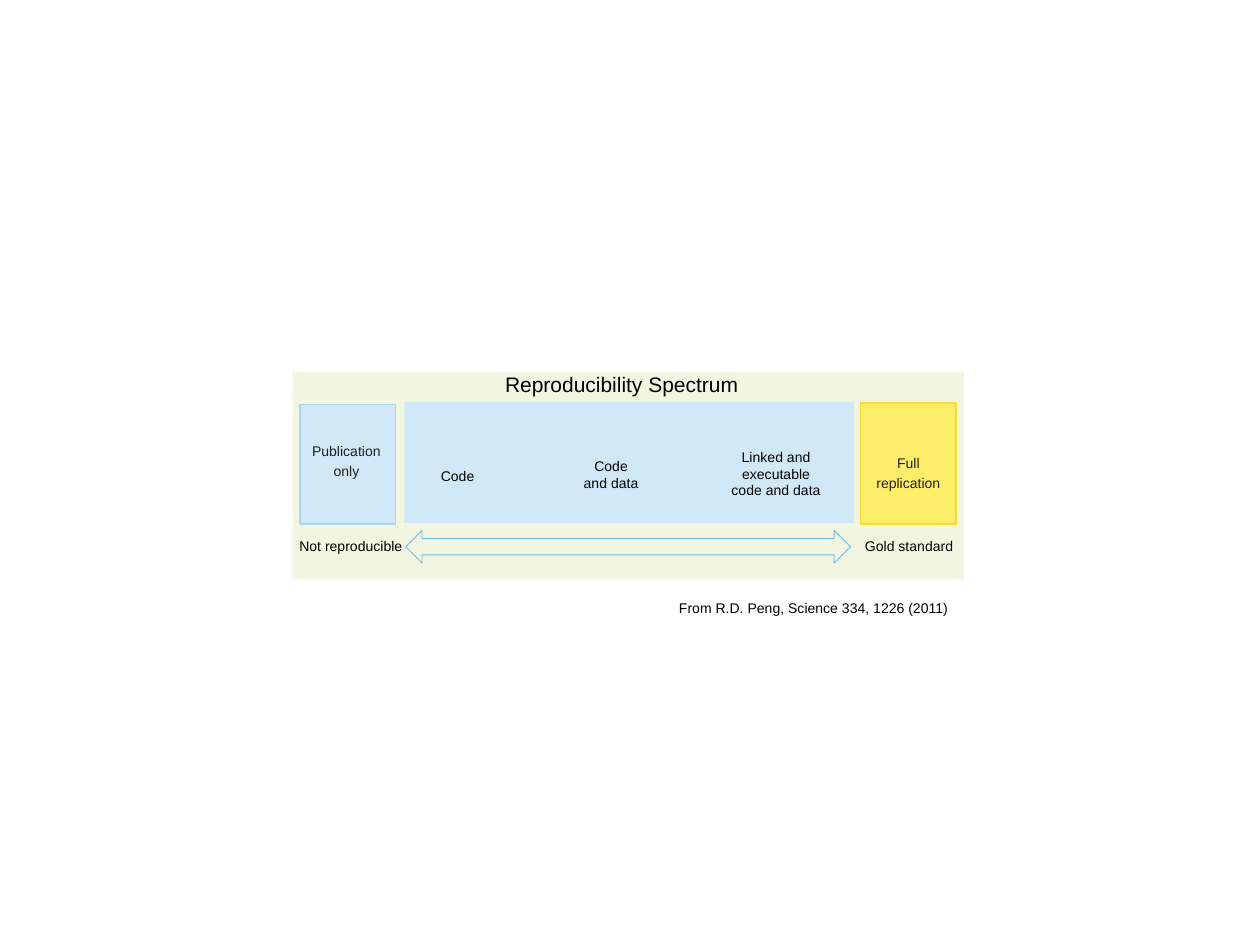
import pptx
import pptx.util
import pptx.dml.color
import pptx.enum.shapes
import pptx.enum.text

Inches = pptx.util.Inches
Pt = pptx.util.Pt
RGB = pptx.dml.color.RGBColor.from_string
Shape = pptx.enum.shapes.MSO_SHAPE
Align = pptx.enum.text.PP_ALIGN
Anchor = pptx.enum.text.MSO_ANCHOR

hues = {"panel": "F2F6E1", "blue": "D0E8F8", "edge": "A6D5F3", "gold": "FEED69",
        "rim": "F9DC2F", "arrow": "6CBEEA", "black": "000000", "dark": "231F20"}

deck = pptx.Presentation()
deck.slide_width, deck.slide_height = Inches(10), Inches(7.5)
slide = deck.slides.add_slide(deck.slide_layouts[6])


def block(kind, box, fill=None, line=None, width=1):
    shape = slide.shapes.add_shape(kind, *map(Inches, box))
    shape.shadow.inherit = False
    if fill:
        shape.fill.solid()
        shape.fill.fore_color.rgb = RGB(hues[fill])
    else:
        shape.fill.background()
    if line:
        shape.line.color.rgb = RGB(hues[line])
        shape.line.width = Pt(width)
    else:
        shape.line.fill.background()
    return shape


def write(text, box=None, shape=None, size=8, hue="black", align=Align.CENTER,
          wrap=True, anchor=Anchor.TOP, pad=(0.1, 0.05, 0.1, 0.05), space=None):
    if shape is None:
        shape = slide.shapes.add_textbox(*map(Inches, box))
    frame = shape.text_frame
    frame.word_wrap = wrap
    frame.vertical_anchor = anchor
    (frame.margin_left, frame.margin_top,
     frame.margin_right, frame.margin_bottom) = map(Inches, pad)
    para = frame.paragraphs[0]
    para.text = text
    para.alignment = align
    para.line_spacing = space
    for run in para.runs:
        run.font.name = "Arial"
        run.font.size = Pt(size)
        run.font.color.rgb = RGB(hues[hue])


block(Shape.RECTANGLE, (2.32, 2.95, 5.33, 1.65), "panel")
block(Shape.RECTANGLE, (3.21, 3.19, 3.57, 0.96), "blue")
first = block(Shape.RECTANGLE, (2.38, 3.21, 0.76, 0.95), "blue", "edge")
last = block(Shape.RECTANGLE, (6.83, 3.2, 0.76, 0.96), "gold", "rim")
arrow = block(Shape.LEFT_RIGHT_ARROW, (3.22, 4.21, 3.53, 0.26), line="arrow", width=0.5)
arrow.adjustments[0] = 0.5
arrow.adjustments[1] = 0.5

ends = [(first, "Publication only", (0.07, 0, 0.09, 0.08)),
        (last, "Full replication", (0.08, 0.12, 0.08, 0))]
for shape, text, pad in ends:
    write(text, shape=shape, hue="dark", anchor=Anchor.MIDDLE, pad=pad, space=1.21)

write("Reproducibility Spectrum", (3.91, 2.9, 2.05, 0.38), size=12,
      align=Align.LEFT, wrap=False)
write("Code", (3.4, 3.66, 0.88, 0.25), align=Align.LEFT)

labels = [("Code\nand data", (4.41, 3.58, 0.88, 0.38)),
          ("Linked and executable code and data", (5.66, 3.51, 1, 0.75)),
          ("Not reproducible", (2.16, 4.22, 1.25, 0.38)),
          ("Gold standard", (6.59, 4.22, 1.25, 0.38))]
for text, box in labels:
    write(text, box)

write("From R.D. Peng, Science 334, 1226 (2011)", (5.29, 4.71, 2.35, 0.24),
      align=Align.LEFT, wrap=False)

deck.save("out.pptx")
